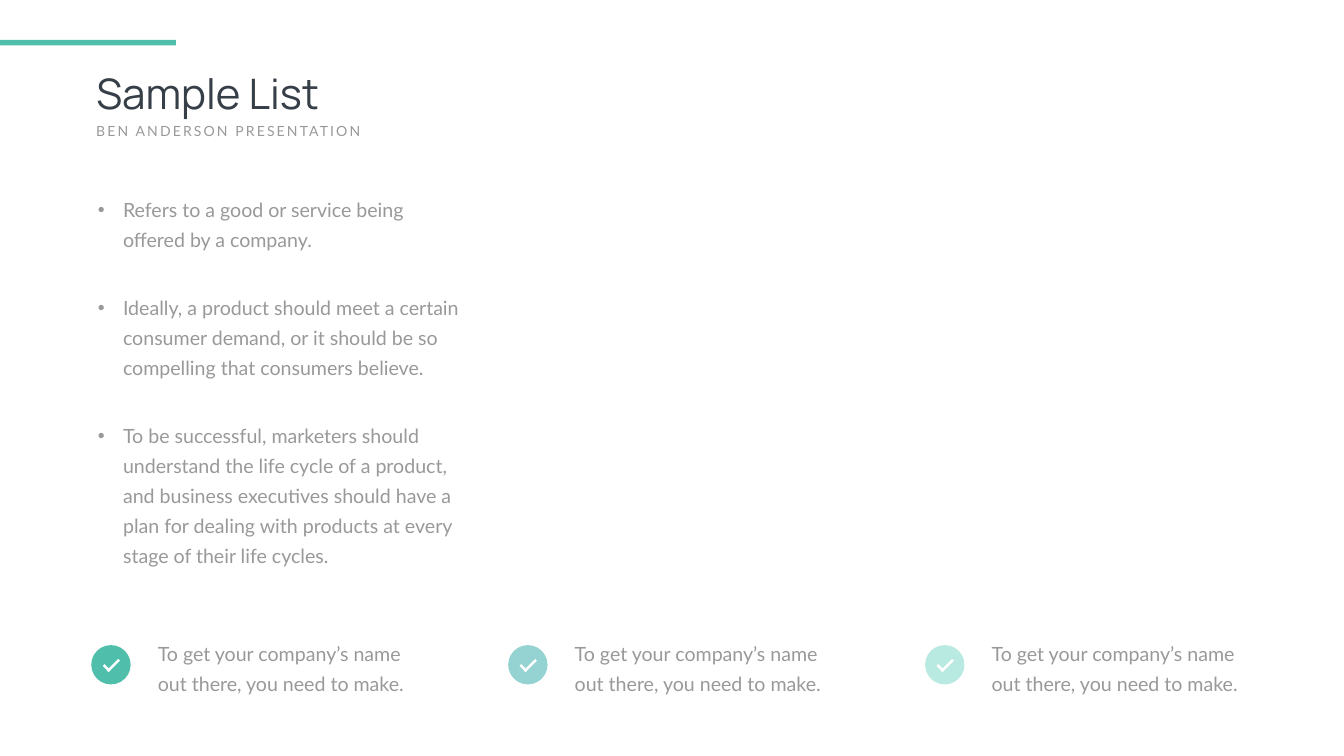
"""Build the sample list slide with three check-marked notes."""
from dataclasses import dataclass

from pptx import Presentation
from pptx import util as u
from pptx.dml.color import RGBColor
from pptx.enum import shapes, text


@dataclass(frozen=True)
class Theme:
    """Colours, fonts and type sizes of the slide."""
    dark: str = "363E48"
    grey: str = "999999"
    white: str = "FFFFFF"
    accents: tuple = ("4FBFAC", "95D3D3", "B9EAE1")
    heading: str = "Manrope"
    body: str = "Lato"
    title_size: int = 60
    subtitle_size: int = 20
    body_size: int = 28
    leading: int = 43
    bullet_gap: int = 54


THEME = Theme()
WIDTH, HEIGHT = u.Inches(26.66), u.Inches(15)
LEFT, COLUMN = 6.79, 31.02
BULLETS = (
    "Refers to a good or service being offered by a company.",
    "Ideally, a product should meet a certain consumer demand, "
    "or it should be so compelling that consumers believe.",
    "To be successful, marketers should understand the life cycle of a product, "
    "and business executives should have a plan for dealing with products "
    "at every stage of their life cycles.",
)
NOTE = "To get your company’s name out there, you need to make."


def box(x, y, w, h):
    """Turn percentages of the slide into left, top, width and height."""
    return [round(share * side / 100)
            for share, side in zip((x, y, w, h), (WIDTH, HEIGHT) * 2)]


def place(sp, *area):
    """Move a placeholder to an area given in percentages."""
    sp.left, sp.top, sp.width, sp.height = box(*area)


def set_frame(tf, margin_x=0.1, margin_y=0.05):
    """Make a text frame wrap, start at the top and grow with its text."""
    tf.word_wrap = True
    tf.auto_size = text.MSO_AUTO_SIZE.SHAPE_TO_FIT_TEXT
    tf.vertical_anchor = text.MSO_ANCHOR.TOP
    tf.margin_left = tf.margin_right = u.Inches(margin_x)
    tf.margin_top = tf.margin_bottom = u.Inches(margin_y)


def write(p, words, font, size, color):
    """Fill a left-aligned paragraph and return its run."""
    p.text = words
    p.alignment = text.PP_ALIGN.LEFT
    r = p.runs[0]
    r.font.name, r.font.size = font, u.Pt(size)
    r.font.color.rgb = RGBColor.from_string(color)
    return r


def write_body(p, words, before=0):
    """Write a paragraph in the body style."""
    p.line_spacing, p.space_before = u.Pt(THEME.leading), u.Pt(before)
    write(p, words, THEME.body, THEME.body_size, THEME.grey)


def add_solid(parent, kind, color, *area, rotation=0):
    """Add a filled shape without outline or shadow."""
    sp = parent.add_shape(kind, *box(*area))
    sp.shadow.inherit = False
    sp.fill.solid()
    sp.fill.fore_color.rgb = RGBColor.from_string(color)
    sp.line.fill.background()
    sp.rotation = rotation


def add_heading(s):
    """Add the accent bar, title and spaced subtitle."""
    add_solid(s.shapes, shapes.MSO_SHAPE.RECTANGLE, THEME.accents[0], 0, 5.27, 13.09, 0.73)
    title = s.shapes.title
    place(title, LEFT, 8.53, 27.08, 7.4)
    set_frame(title.text_frame)
    write(title.text_frame.paragraphs[0], "Sample List",
          THEME.heading, THEME.title_size, THEME.dark)
    tf = s.shapes.add_textbox(*box(LEFT, 15.93, 21.94, 2.93)).text_frame
    set_frame(tf)
    r = write(tf.paragraphs[0], "BEN ANDERSON PRESENTATION",
              THEME.body, THEME.subtitle_size, THEME.grey)
    r.font._element.set("spc", "300")


def add_bullets(s):
    """Fill the body placeholder with the bulleted list."""
    body = s.placeholders[1]
    place(body, 6.38, 24.47, 28.73, 51.93)
    tf = body.text_frame
    set_frame(tf, 0.24, 0.12)
    indent = u.Inches(0.5)
    for i, words in enumerate(BULLETS):
        p = tf.add_paragraph() if i else tf.paragraphs[0]
        pPr = p._p.get_or_add_pPr()
        pPr.set("marL", str(indent))
        pPr.set("indent", str(-indent))
        write_body(p, words, THEME.bullet_gap if i else 0)


def add_note(s, column, color):
    """Add a grouped check mark with its note in the given column."""
    x = LEFT + column * COLUMN
    group = s.shapes.add_group_shape().shapes
    tf = group.add_textbox(*box(x + 4.05, 83.2, 20.33, 9.27)).text_frame
    set_frame(tf, 0.24, 0.12)
    write_body(tf.paragraphs[0], NOTE)
    add_solid(group, shapes.MSO_SHAPE.OVAL, color, x, 85.33, 2.93, 5.2)
    for dx, y, w, angle in ((0.82, 88.2, 0.64, 45), (1.05, 87.87, 1.2, 315)):
        add_solid(group, shapes.MSO_SHAPE.RECTANGLE, THEME.white,
                  x + dx, y, w, 0.33, rotation=angle)


def main():
    """Build and save the slide."""
    prs = Presentation()
    prs.slide_width, prs.slide_height = WIDTH, HEIGHT
    s = prs.slides.add_slide(prs.slide_layouts[1])
    add_heading(s)
    add_bullets(s)
    for column, color in enumerate(THEME.accents):
        add_note(s, column, color)
    prs.save("out.pptx")


if __name__ == "__main__":
    main()
